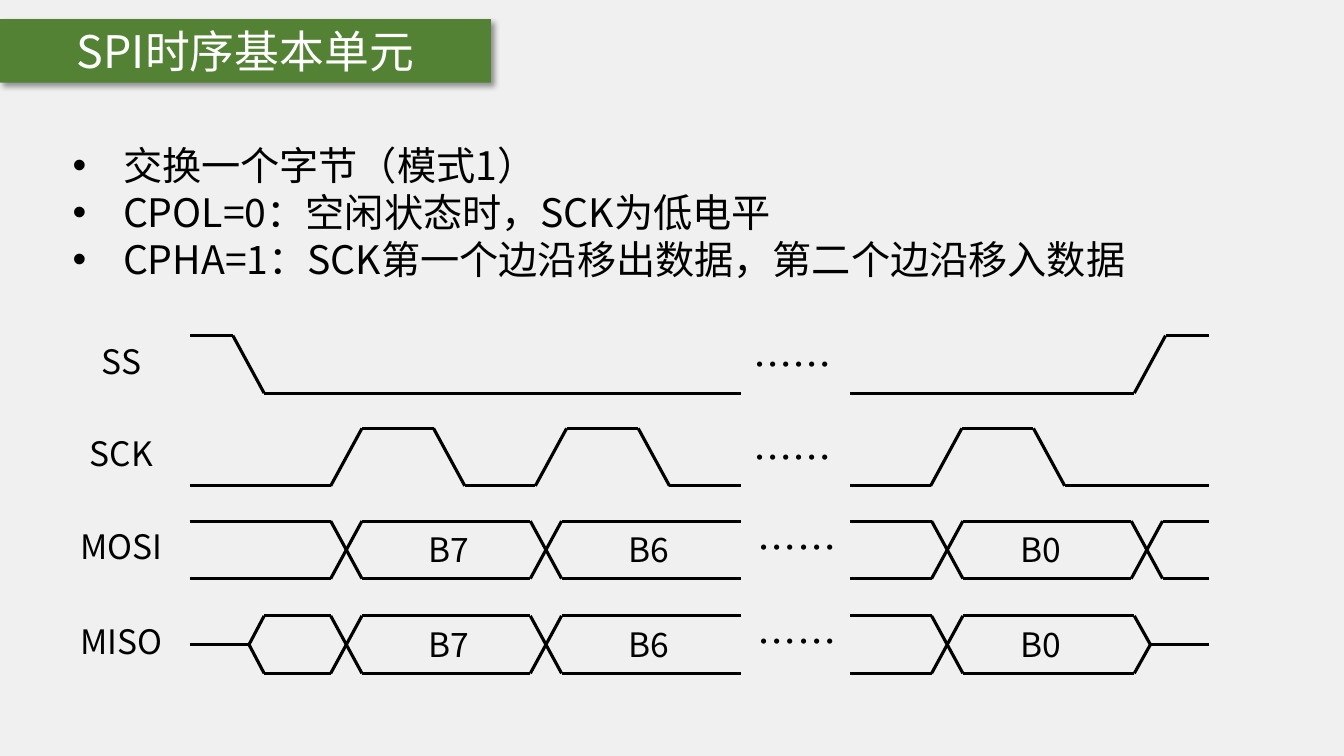
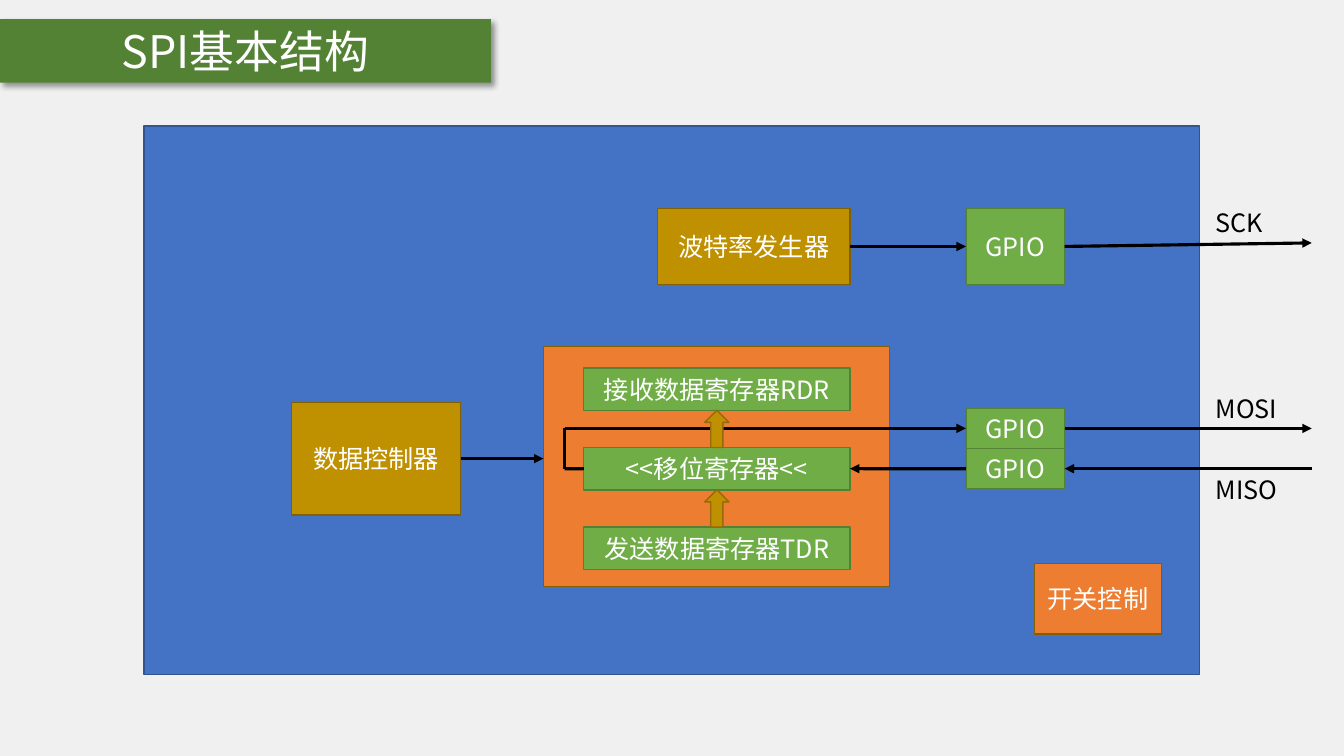
from dataclasses import dataclass
from itertools import pairwise

from lxml.etree import SubElement
from pptx import Presentation
from pptx.dml.color import RGBColor
from pptx.enum.shapes import MSO_CONNECTOR, MSO_SHAPE
from pptx.enum.text import MSO_ANCHOR, MSO_AUTO_SIZE, PP_ALIGN
from pptx.oxml.ns import qn
from pptx.util import Inches, Pt


@dataclass(frozen=True)
class Theme:
    font: str = "Noto Sans CJK SC"
    background: str = "F0F0F0"
    band: str = "548235"
    ink: str = "000000"
    paper: str = "FFFFFF"
    chip: tuple = ("4472C4", "325491")
    control: tuple = ("BF9000", "806000")
    switch: tuple = ("ED7D31", "806000")
    register: tuple = ("70AD47", "548235")
    transfer: tuple = ("BF9000", "986909")
    title_size: int = 32
    body_size: int = 28
    signal_size: int = 24
    block_size: int = 18
    wire_width: float = 2.25


@dataclass(frozen=True)
class Box:
    left: float
    top: float
    width: float
    height: float

    def inner(self, left, top, width, height):
        return Box(self.left + left, self.top + top, width, height)

    def emu(self):
        return [Inches(v) for v in (self.left, self.top, self.width, self.height)]


THEME = Theme()
BAND = Box(0, 0.19, 4.87, 0.63)

# Horizontal positions are measured from the start of the waveforms.
LABEL_WIDTH = 1.32
SLOPE = 0.31
SWING = 0.57
PULSE = 0.71
BREAK_START, BREAK_END, WAVE_END = 5.47, 6.55, 10.11
BIT_LABELS = {"B7": 2.11, "B6": 4.09, "B0": 7.98}


def color(value):
    return RGBColor.from_string(value)


def write(paragraph, text, size, ink, align=None):
    paragraph.alignment = align
    run = paragraph.add_run()
    run.text = text
    run.font.size = Pt(size)
    run.font.color.rgb = color(ink)
    run.font.name = THEME.font
    SubElement(run._r.get_or_add_rPr(), qn("a:ea"), typeface=THEME.font)


def place(shape, box):
    shape.left, shape.top, shape.width, shape.height = box.emu()


def add_label(shapes, box, text, size, align=None):
    frame = shapes.add_textbox(*box.emu()).text_frame
    frame.word_wrap = True
    write(frame.paragraphs[0], text, size, THEME.ink, align)


def add_block(slide, box, colors, text="", preset=MSO_SHAPE.RECTANGLE):
    shape = slide.shapes.add_shape(preset, *box.emu())
    shape.shadow.inherit = False
    shape.fill.solid()
    shape.fill.fore_color.rgb = color(colors[0])
    shape.line.color.rgb = color(colors[1])
    shape.line.width = Pt(1)
    if text:
        shape.text_frame.vertical_anchor = MSO_ANCHOR.MIDDLE
        write(shape.text_frame.paragraphs[0], text, THEME.block_size,
              THEME.paper, PP_ALIGN.CENTER)
    return shape


def add_wire(shapes, start, end, arrow=False, source=None, target=None):
    """Draw a line; source and target are (shape, connection site) pairs."""
    wire = shapes.add_connector(
        MSO_CONNECTOR.STRAIGHT, *(Inches(v) for v in (*start, *end)))
    wire.line.color.rgb = color(THEME.ink)
    wire.line.width = Pt(THEME.wire_width)
    SubElement(wire._element.spPr, qn("a:effectLst"))
    if arrow:
        SubElement(wire.line._get_or_add_ln(), qn("a:tailEnd"), type="triangle")
    if source:
        wire.begin_connect(*source)
    if target:
        wire.end_connect(*target)


def add_title(slide, text):
    title = slide.shapes.title
    place(title, BAND)
    title.fill.solid()
    title.fill.fore_color.rgb = color(THEME.band)
    effects = SubElement(title._element.spPr, qn("a:effectLst"))
    shadow = SubElement(effects, qn("a:outerShdw"), blurRad=str(Pt(4)),
                        dist=str(Pt(3)), dir=str(45 * 60000),
                        algn="tl", rotWithShape="0")
    shade = SubElement(shadow, qn("a:srgbClr"), val=THEME.ink)
    SubElement(shade, qn("a:alpha"), val="40000")
    frame = title.text_frame
    frame.auto_size = MSO_AUTO_SIZE.NONE
    frame.vertical_anchor = MSO_ANCHOR.MIDDLE
    write(frame.paragraphs[0], text, THEME.title_size, THEME.paper, PP_ALIGN.CENTER)


def fill_bullets(placeholder, box, lines):
    place(placeholder, box)
    frame = placeholder.text_frame
    frame.auto_size = MSO_AUTO_SIZE.NONE
    for index, line in enumerate(lines):
        paragraph = frame.add_paragraph() if index else frame.paragraphs[0]
        properties = paragraph._p.get_or_add_pPr()
        properties.set("marL", str(Inches(0.5)))
        properties.set("indent", str(-Inches(0.5)))
        SubElement(properties, qn("a:buFont"), typeface="Arial")
        SubElement(properties, qn("a:buChar"), char="•")
        paragraph.space_before = Pt(0)
        write(paragraph, line, THEME.body_size, THEME.ink)


def add_signal(slide, box, name, traces, dots=(5.34, 0), bits=None):
    """Draw one signal row; traces hold (time, level) points, level 1 on top."""
    shapes = slide.shapes.add_group_shape().shapes
    wave_left = box.left + LABEL_WIDTH
    for trace in traces:
        points = [(wave_left + time, box.top + (1 - level) * SWING)
                  for time, level in trace]
        for start, end in pairwise(points):
            add_wire(shapes, start, end)
    wave = Box(wave_left, box.top, WAVE_END, SWING)
    add_label(shapes, box.inner(0, 0, 1.29, 0.5), name,
              THEME.signal_size, PP_ALIGN.CENTER)
    add_label(shapes, wave.inner(*dots, 1.29, 0.57), "……",
              THEME.body_size, PP_ALIGN.CENTER)
    for bit, left in (bits or {}).items():
        add_label(shapes, wave.inner(left, 0.03, 0.93, 0.5), bit,
                  THEME.signal_size, PP_ALIGN.CENTER)


def clock_trace(start, pulses, end):
    trace = [(start, 0)]
    for rise in pulses:
        high = rise + SLOPE
        fall = high + PULSE
        trace += [(rise, 0), (high, 1), (fall, 1), (fall + SLOPE, 0)]
    return trace + [(end, 0)]


def bus_traces(start, crossings, end):
    """Return two mirrored wires which swap levels at each crossing."""
    traces = []
    for level in (0, 1):
        trace = [(start, level)]
        for crossing in crossings:
            trace.append((crossing, level))
            level = 1 - level
            trace.append((crossing + SLOPE, level))
        traces.append(trace + [(end, level)])
    return traces


def idle_traces(outer, tip, opening):
    """Return a floating line that opens into both bus levels."""
    return [[(outer, 0.5), (tip, 0.5), (opening, 1)], [(tip, 0.5), (opening, 0)]]


def add_timing_diagram(slide, box):
    rows = [box.inner(0, top, box.width, SWING) for top in (0, 0.92, 1.84, 2.78)]
    add_signal(slide, rows[0], "SS", [
        [(0, 1), (0.43, 1), (0.74, 0), (BREAK_START, 0)],
        [(BREAK_END, 0), (9.37, 0), (9.68, 1), (WAVE_END, 1)],
    ])
    add_signal(slide, rows[1], "SCK", [
        clock_trace(0, [1.4, 3.43], BREAK_START),
        clock_trace(BREAK_END, [7.35], WAVE_END),
    ])
    bus_style = {"dots": (5.38, -0.03), "bits": BIT_LABELS}
    add_signal(slide, rows[2], "MOSI",
               bus_traces(0, [1.4, 3.38], BREAK_START)
               + bus_traces(BREAK_END, [7.36, 9.34], WAVE_END), **bus_style)
    add_signal(slide, rows[3], "MISO",
               idle_traces(0, 0.59, 0.74)
               + bus_traces(0.74, [1.4, 3.38], BREAK_START)
               + bus_traces(BREAK_END, [7.36], 9.37)
               + idle_traces(WAVE_END, 9.53, 9.37), **bus_style)


def add_structure_diagram(slide, box):
    add_block(slide, box, THEME.chip)
    baud = add_block(slide, box.inner(5.09, 0.82, 1.91, 0.75),
                     THEME.control, "波特率发生器")
    controller = add_block(slide, box.inner(1.46, 2.74, 1.68, 1.12),
                           THEME.control, "数据控制器")
    add_block(slide, box.inner(3.96, 2.19, 3.43, 2.38), THEME.switch)
    add_block(slide, box.inner(8.83, 4.34, 1.26, 0.7), THEME.switch, "开关控制")
    sck, mosi, miso = (
        add_block(slide, box.inner(8.15, top, 0.98, height), THEME.register, "GPIO")
        for top, height in ((0.82, 0.75), (2.8, 0.4), (3.2, 0.4)))
    receive, shift, send = (
        add_block(slide, box.inner(4.36, 2.4 + 0.79 * row, 2.64, 0.42),
                  THEME.register, text)
        for row, text in enumerate(
            ("接收数据寄存器RDR", "<<移位寄存器<<", "发送数据寄存器TDR")))

    def wire(start, end, **options):
        add_wire(slide.shapes, (box.left + start[0], box.top + start[1]),
                 (box.left + end[0], box.top + end[1]), **options)

    pin_left, pin_right, outside = 8.15, 9.13, 11.58
    sck_y, mosi_y, miso_y, loop_x = 1.2, 3, 3.4, 4.17
    wire((7, sck_y), (pin_left, sck_y), arrow=True,
         source=(baud, 3), target=(sck, 1))
    wire((pin_right, sck_y), (outside, 1.16), arrow=True, source=(sck, 3))
    wire((3.14, 3.3), (3.96, 3.3), arrow=True, source=(controller, 3))
    wire((4.36, miso_y), (loop_x, miso_y), source=(shift, 1))
    wire((loop_x, miso_y), (loop_x, mosi_y))
    wire((loop_x, mosi_y), (pin_left, mosi_y), arrow=True, target=(mosi, 1))
    wire((pin_right, mosi_y), (outside, mosi_y), arrow=True, source=(mosi, 3))
    wire((outside, miso_y), (pin_right, miso_y), arrow=True, target=(miso, 3))
    wire((pin_left, miso_y), (7, miso_y), arrow=True,
         source=(miso, 1), target=(shift, 3))

    for top in (2.82, 3.61):
        add_block(slide, box.inner(5.56, top, 0.24, 0.37), THEME.transfer,
                  preset=MSO_SHAPE.UP_ARROW)
    for text, top in (("SCK", 0.76), ("MOSI", 2.6), ("MISO", 3.41)):
        add_label(slide.shapes, box.inner(10.53, top, 1, 0.4), text, THEME.block_size)


def build_timing_slide(presentation):
    slide = presentation.slides.add_slide(presentation.slide_layouts[1])
    add_title(slide, "SPI时序基本单元")
    fill_bullets(slide.placeholders[1], Box(0.62, 1.35, 12.08, 1.51), [
        "交换一个字节（模式1）",
        "CPOL=0：空闲状态时，SCK为低电平",
        "CPHA=1：SCK第一个边沿移出数据，第二个边沿移入数据",
    ])
    add_timing_diagram(slide, Box(0.56, 3.33, 11.43, 3.36))


def build_structure_slide(presentation):
    slide = presentation.slides.add_slide(presentation.slide_layouts[5])
    add_title(slide, "SPI基本结构")
    add_structure_diagram(slide, Box(1.43, 1.25, 10.47, 5.44))


def main():
    presentation = Presentation()
    presentation.slide_width = Inches(13.33)
    presentation.slide_height = Inches(7.5)
    background = presentation.slide_master.background.fill
    background.solid()
    background.fore_color.rgb = color(THEME.background)
    build_timing_slide(presentation)
    build_structure_slide(presentation)
    presentation.save("out.pptx")


if __name__ == "__main__":
    main()
